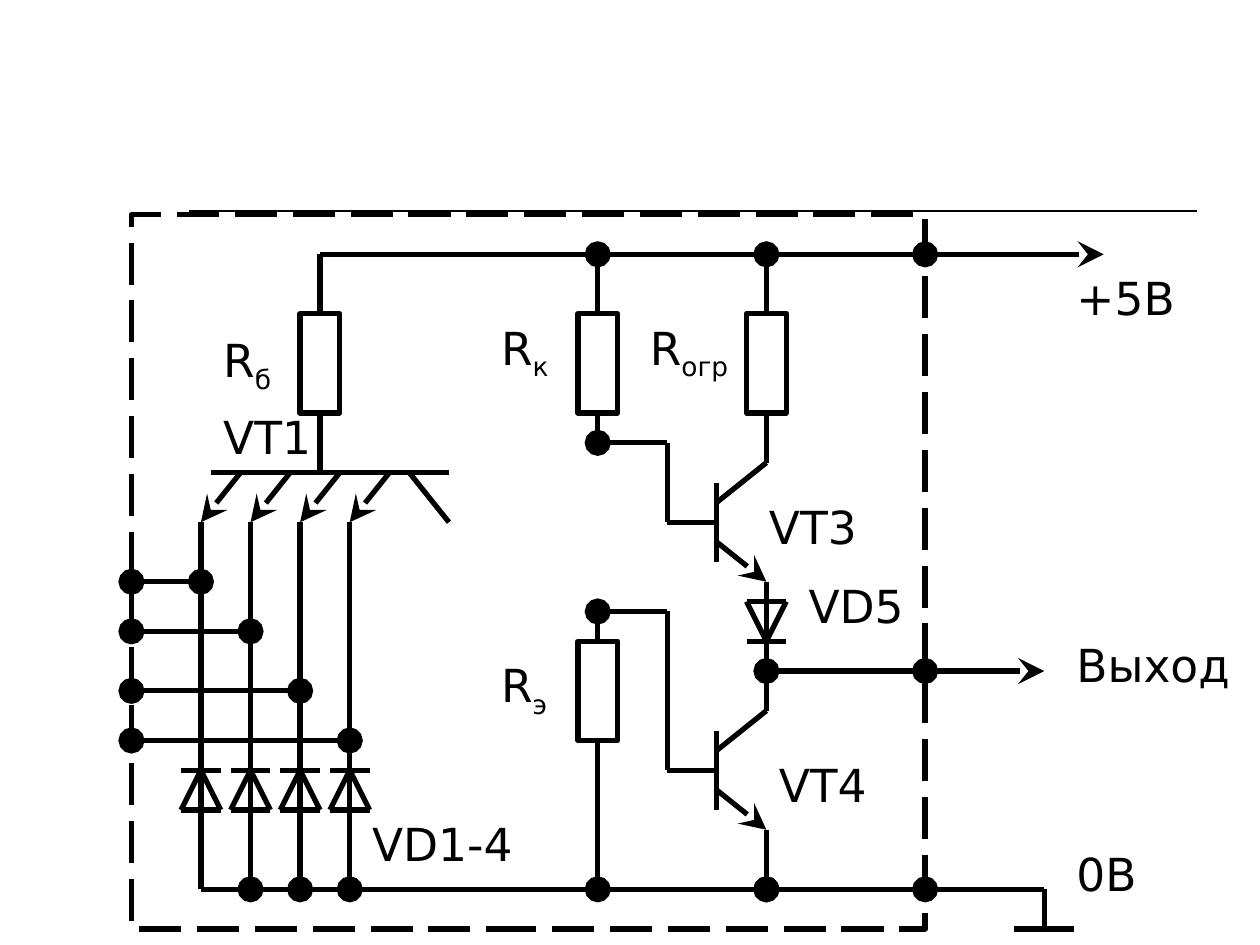
from lxml import etree
from pptx import Presentation
from pptx.dml.color import RGBColor
from pptx.enum.dml import MSO_LINE
from pptx.enum.shapes import MSO_CONNECTOR, MSO_SHAPE
from pptx.enum.text import MSO_AUTO_SIZE
from pptx.oxml.ns import qn
from pptx.util import Cm, Inches, Pt

STRAIGHT = MSO_CONNECTOR.STRAIGHT
RECTANGLE = MSO_SHAPE.RECTANGLE
LONG_DASH = MSO_LINE.LONG_DASH
FIT_TEXT = MSO_AUTO_SIZE.SHAPE_TO_FIT_TEXT
TOP, BOTTOM = 0, 2
DOT, ARROW = "oval", "stealth"
COLORS = {"ink": "000000", "paper": "FFFFFF"}


class Circuit:
    """Draws circuit parts on a grid of 0.2 cm cells."""

    font, size, stroke = "DejaVu Sans", 26, 3
    cell, left, top = Cm(0.2), Inches(0.02), Inches(0.05)

    def __init__(self, slide):
        self.slide = slide

    def point(self, col, row):
        return int(self.left + col * self.cell), int(self.top + row * self.cell)

    def color(self, name):
        return RGBColor.from_string(COLORS[name])

    def line(self, x1, y1, x2, y2, start=None, end=None, stroke=stroke, parent=None):
        shapes = (parent or self.slide).shapes
        line = shapes.add_connector(STRAIGHT, *self.point(x1, y1), *self.point(x2, y2))
        line.line.color.rgb = self.color("ink")
        line.line.width = Pt(stroke)
        outline = line.line._get_or_add_ln()
        for tag, kind in (("a:headEnd", start), ("a:tailEnd", end)):
            if kind:
                etree.SubElement(outline, qn(tag), type=kind, w="lg", len="lg")
        etree.SubElement(line._element.spPr, qn("a:effectLst"))
        return line

    def wire(self, *points):
        for begin, finish in zip(points, points[1:]):
            self.line(*begin, *finish)

    def box(self, col, row, cols, rows, filled=True):
        box = self.slide.shapes.add_shape(
            RECTANGLE, *self.point(col, row), int(cols * self.cell), int(rows * self.cell))
        box.shadow.inherit = False
        if filled:
            box.fill.solid()
            box.fill.fore_color.rgb = self.color("paper")
        else:
            box.fill.background()
        box.line.color.rgb = self.color("ink")
        box.line.width = Pt(self.stroke)
        return box

    def resistor(self, col, row, upper, lower, upper_end=None, lower_end=None):
        """A resistor whose leads run to the rows upper and lower."""
        body = self.box(col - 2, row, 4, 10)
        lead = self.line(col, row, col, upper, end=upper_end)
        lead.begin_connect(body, TOP)
        lead = self.line(col, row + 10, col, lower, end=lower_end)
        lead.begin_connect(body, BOTTOM)

    def diode(self, col, tip, base):
        symbol = self.slide.shapes.add_group_shape()
        for row in (tip, base):
            self.line(col - 2, row, col + 2, row, parent=symbol)
        for side in (-2, 2):
            self.line(col, tip, col + side, base, parent=symbol)

    def transistor(self, col, row):
        self.line(col, row - 4, col, row + 4)
        self.line(col, row - 2, col + 5, row - 6)
        self.line(col + 5, row + 6, col, row + 2, start=ARROW)

    def label(self, col, row, text, index="", cols=13):
        box = self.slide.shapes.add_textbox(
            *self.point(col, row), int(cols * self.cell), Inches(0.54))
        frame = box.text_frame
        frame.word_wrap = True
        frame.auto_size = FIT_TEXT
        paragraph = frame.paragraphs[0]
        paragraph.add_run().text = text
        if index:
            subscript = paragraph.add_run()
            subscript.text = index
            subscript.font._element.set("baseline", "-25000")
        paragraph.font.name = self.font
        paragraph.font.size = Pt(self.size)
        paragraph.font.color.rgb = self.color("ink")


def main():
    deck = Presentation()
    deck.slide_width, deck.slide_height = Inches(10), Inches(7.5)
    circuit = Circuit(deck.slides.add_slide(deck.slide_layouts[6]))

    # Rule above the diagram and dashed border of the chip
    circuit.line(18.85, 20.6, 120.45, 20.6, stroke=1)
    chip = circuit.box(13, 21, 80, 72, filled=False)
    chip.line.dash_style = LONG_DASH

    # Supply, output and ground
    circuit.line(32, 25, 93, 25, end=DOT)
    circuit.line(111, 25, 93, 25, start=ARROW)
    circuit.line(93, 67, 77, 67, start=DOT, end=DOT)
    circuit.line(105, 67, 93, 67, start=ARROW)
    circuit.line(20, 89, 77, 89)
    circuit.line(93, 89, 77, 89, start=DOT, end=DOT)
    circuit.wire((93, 89), (105, 89), (105, 93))
    circuit.line(102, 93, 108, 93)

    # VT1 with its inputs and protective diodes
    circuit.line(21, 47, 45, 47)
    circuit.line(41, 47, 45, 52)
    for col, row in ((20, 58), (25, 63), (30, 69), (35, 74)):
        circuit.line(col, 52, col + 4, 47, start=ARROW)
        circuit.line(col, 52, col, row)
        circuit.line(col, 89, col, row, start=DOT if col > 20 else None, end=DOT)
        circuit.line(col, row, 13, row, end=DOT)
        circuit.diode(col, 77, 81)

    # Resistors
    circuit.resistor(32, 31, 25, 47)
    circuit.resistor(60, 31, 25, 44, upper_end=DOT)
    circuit.resistor(77, 31, 25, 46, upper_end=DOT)
    circuit.resistor(60, 64, 61, 89, lower_end=DOT)

    # Output transistors, their base wires and VD5
    for tap, base in ((44, 52), (61, 77)):
        circuit.line(67, tap, 60, tap, end=DOT)
        circuit.wire((67, tap), (67, base), (72, base))
        circuit.transistor(72, base)
    circuit.line(77, 58, 77, 71)
    circuit.diode(77, 64, 60)
    circuit.line(77, 83, 77, 89, end=DOT)

    # Labels
    for col, row, name, index, cols in (
        (21, 32.25, "R", "б", 9), (49, 31, "R", "к", 9),
        (64, 31, "R", "огр", 11), (49, 65, "R", "э", 9),
        (21, 40, "VT1", "", 13), (76, 49, "VT3", "", 13), (77, 75, "VT4", "", 13),
        (36, 81, "VD1-4", "", 23), (80, 57, "VD5", "", 13),
        (107, 26, "+5В", "", 13), (107, 63, "Выход", "", 18.5), (107, 84, "0В", "", 13),
    ):
        circuit.label(col, row, name, index, cols)

    deck.save("out.pptx")


if __name__ == "__main__":
    main()
